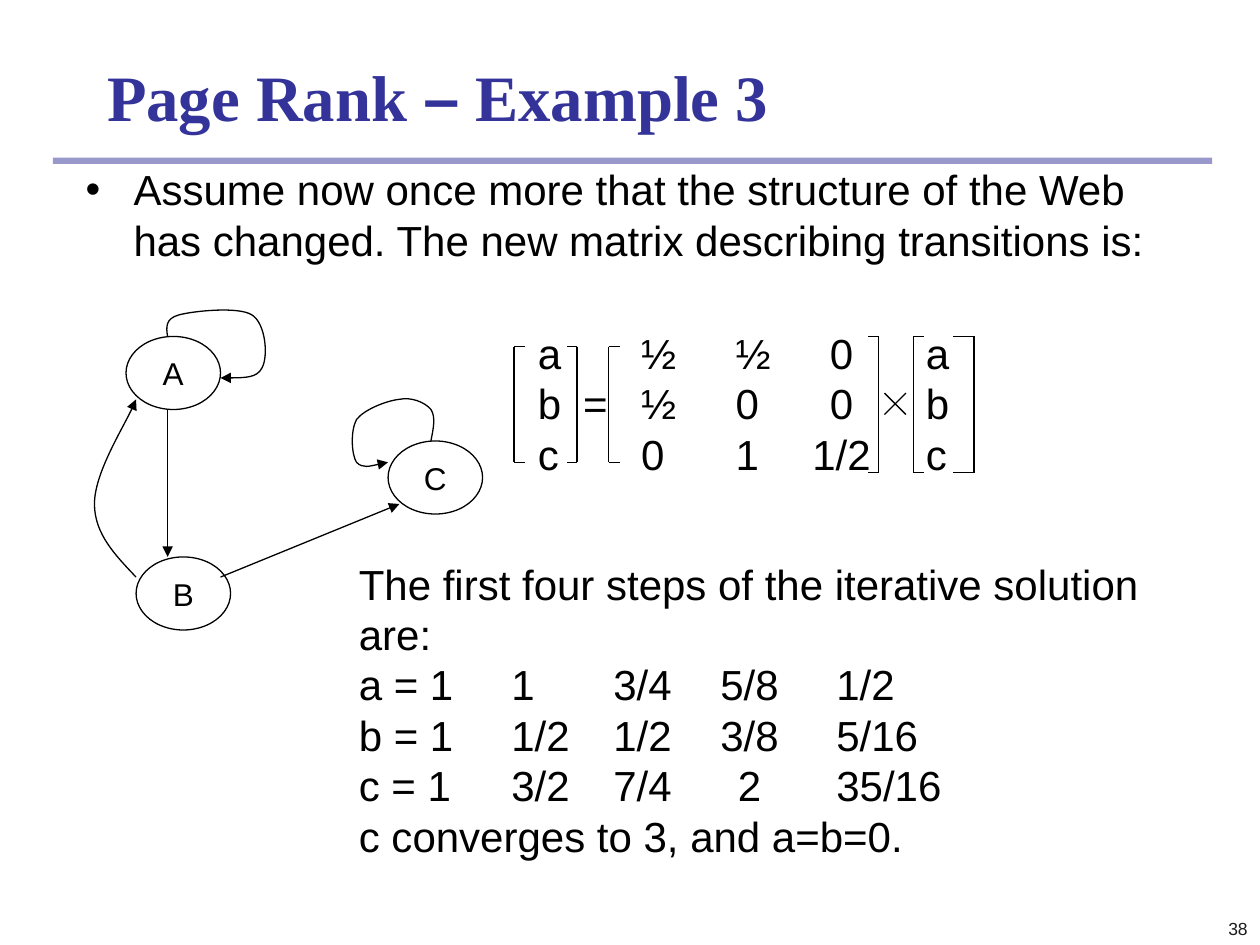
"""Build the slide on the third page rank example."""
from typing import NamedTuple

from lxml import etree
from pptx import Presentation
from pptx.dml.color import RGBColor
from pptx.enum import shapes as es, text as et
from pptx.oxml import ns
from pptx.util import Inches, Pt

INK, BLUE, WHITE = "000000", "333399", "FFFFFF"
SANS, SERIF = "Arial", "Times New Roman"


class Node(NamedTuple):
    name: str
    left: float
    top: float


class Line(NamedTuple):
    x1: float
    y1: float
    x2: float
    y2: float
    arrow: bool = False


class Bracket(NamedTuple):
    x: float
    tip: float
    top: float
    bottom: float


class Stop(NamedTuple):
    pos: float
    side: str = "l"


NODES = [Node("A", 1, 2.67), Node("B", 1.08, 4.42), Node("C", 3.08, 3.5)]
EDGES = [Line(1.33, 3.25, 1.33, 4.42, True), Line(1.75, 4.58, 3.17, 4, True)]
CROSS = [Line(7.02, 3.12, 7.19, 3.29), Line(7.19, 3.12, 7.02, 3.29)]
BRACKETS = [
    Bracket(4.08, 4.17, 2.75, 3.67),
    Bracket(4.58, 4.5, 2.75, 3.67),
    Bracket(4.83, 4.92, 2.75, 3.67),
    Bracket(6.97, 6.89, 2.67, 3.75),
    Bracket(7.25, 7.33, 2.67, 3.75),
    Bracket(7.73, 7.56, 2.67, 3.75),
]
CURVES = [
    [(1.33, 2.67), (1.32, 2.6), (1.31, 2.53), (1.42, 2.5),
     (1.53, 2.47), (1.89, 2.43), (2, 2.5),
     (2.11, 2.57), (2.13, 2.83), (2.08, 2.92),
     (2.04, 3), (1.9, 3), (1.75, 3)],
    [(1.08, 4.58), (0.92, 4.41), (0.75, 4.24), (0.75, 4),
     (0.75, 3.76), (1.03, 3.31), (1.08, 3.17)],
    [(3.42, 3.5), (3.44, 3.4), (3.46, 3.31), (3.42, 3.25),
     (3.37, 3.19), (3.26, 3.15), (3.17, 3.17),
     (3.07, 3.18), (2.89, 3.25), (2.83, 3.33),
     (2.78, 3.42), (2.79, 3.61), (2.83, 3.67),
     (2.88, 3.72), (2.98, 3.69), (3.08, 3.67)],
]
MATRIX = ["a\t\t½\t½\t0\ta", "b\t=\t½\t0\t0\tb", "c\t\t0\t1\t1/2\tc"]
MATRIX_STOPS = [Stop(0.36), Stop(0.82), Stop(1.57), Stop(2.41, "ctr"), Stop(3.08)]
STEPS = [
    "The first four steps of the iterative solution are:",
    "a = 1\t1\t3/4\t5/8\t1/2",
    "b = 1\t1/2\t1/2\t3/8\t5/16",
    "c = 1\t3/2\t7/4\t2\t35/16",
    "c converges to 3, and a=b=0.",
]
STEP_STOPS = [Stop(1.21), Stop(2.02), Stop(3.1, "ctr"), Stop(3.79)]


def paint(color, tone: str) -> None:
    """Set a colour from a hex string."""
    color.rgb = RGBColor.from_string(tone)


def child(host, tag: str, **attrs: str):
    """Append an XML element to its host."""
    return etree.SubElement(host, ns.qn(tag), attrs)


def write(para, words: str, size: float = 24, tone: str = INK,
          face: str = SANS, bold: bool = False) -> None:
    """Add one run to a paragraph."""
    run = para.add_run()
    run.text = words
    font = run.font
    font.size, font.name, font.bold = Pt(size), face, bold
    paint(font.color, tone)


def place(shape, left: float, top: float, width: float, height: float) -> None:
    """Move and size a shape."""
    shape.left, shape.top = Inches(left), Inches(top)
    shape.width, shape.height = Inches(width), Inches(height)


def stroke(shape, arrow: bool) -> None:
    """Give a shape a thin dark line, with an arrowhead if asked."""
    paint(shape.line.color, INK)
    shape.line.width = Pt(0.75)
    if arrow:
        child(shape.line._get_or_add_ln(), "a:tailEnd", type="triangle")


def draw_line(slide, line: Line) -> None:
    """Draw a straight line."""
    ends = [Inches(v) for v in line[:4]]
    link = slide.shapes.add_connector(es.MSO_CONNECTOR.STRAIGHT, *ends)
    stroke(link, line.arrow)
    child(link._element.spPr, "a:effectLst")


def draw_bracket(slide, item: Bracket) -> None:
    """Draw a square bracket from three lines."""
    draw_line(slide, Line(item.x, item.top, item.x, item.bottom))
    for y in (item.top, item.bottom):
        draw_line(slide, Line(item.x, y, item.tip, y))


def draw_curve(slide, points: list[tuple[float, float]]) -> None:
    """Draw an arrow along joined cubic curves."""
    first, *rest = [(Inches(x), Inches(y)) for x, y in points]
    pen = slide.shapes.build_freeform(*first)
    pen.add_line_segments(rest, close=False)
    shape = pen.convert_to_shape()
    shape.shadow.inherit = False
    shape.fill.background()
    stroke(shape, True)
    track = next(shape._element.iter(ns.qn("a:path")))
    legs = track.findall(ns.qn("a:lnTo"))
    for i in range(0, len(legs), 3):
        bend = child(track, "a:cubicBezTo")
        for leg in legs[i:i + 3]:
            bend.append(leg[0])
            track.remove(leg)


def draw_node(slide, node: Node) -> None:
    """Draw a labelled graph node."""
    shape = slide.shapes.add_shape(es.MSO_SHAPE.OVAL, 0, 0, 0, 0)
    place(shape, node.left, node.top, 0.75, 0.58)
    shape.shadow.inherit = False
    shape.fill.solid()
    paint(shape.fill.fore_color, WHITE)
    stroke(shape, False)
    frame = shape.text_frame
    frame.word_wrap = False
    frame.vertical_anchor = et.MSO_ANCHOR.MIDDLE
    para = frame.paragraphs[0]
    para.alignment = et.PP_ALIGN.CENTER
    write(para, node.name, 18)


def draw_rows(slide, spot: tuple, rows: list[str], stops: list[Stop]) -> None:
    """Write rows of text lined up on tab stops."""
    box = slide.shapes.add_textbox(0, 0, 0, 0)
    place(box, *spot)
    frame = box.text_frame
    frame.word_wrap = True
    for i, row in enumerate(rows):
        para = frame.add_paragraph() if i else frame.paragraphs[0]
        tabs = child(para._p.get_or_add_pPr(), "a:tabLst")
        for stop in stops:
            child(tabs, "a:tab", pos=str(Inches(stop.pos)), algn=stop.side)
        write(para, row)


def draw_head(slide) -> None:
    """Fill the title and body and draw the rule between them."""
    bar = slide.shapes.add_shape(es.MSO_SHAPE.RECTANGLE, 0, 0, 0, 0)
    place(bar, 0.42, 1.25, 9.2, 0.05)
    bar.shadow.inherit = False
    bar.fill.solid()
    paint(bar.fill.fore_color, BLUE)
    bar.line.fill.background()
    child(next(bar._element.spPr.iter(ns.qn("a:srgbClr"))), "a:alpha", val="50000")

    title, body = slide.placeholders
    place(title, 0.75, 0.42, 8.5, 0.75)
    place(body, 0.58, 1.25, 8.67, 1)
    for item, side in ((title, et.MSO_ANCHOR.MIDDLE), (body, et.MSO_ANCHOR.TOP)):
        item.text_frame.auto_size = et.MSO_AUTO_SIZE.NONE
        item.text_frame.vertical_anchor = side
    para = title.text_frame.paragraphs[0]
    para.alignment = et.PP_ALIGN.LEFT
    para.line_spacing = 0.9
    for words, face in (("Page Rank ", SERIF), ("–", SANS), (" Example 3", SERIF)):
        write(para, words, 37, BLUE, face, True)

    para = body.text_frame.paragraphs[0]
    para.space_before = Pt(0)
    props = para._p.get_or_add_pPr()
    props.set("marL", str(Inches(0.38)))
    props.set("indent", str(Inches(-0.38)))
    child(child(props, "a:buClr"), "a:srgbClr", val=INK)
    child(props, "a:buFont", typeface=SANS)
    child(props, "a:buChar", char="•")
    write(para, "Assume now once more that the structure of the Web has changed. "
                "The new matrix describing transitions is:")


def draw_number(slide) -> None:
    """Write the page number."""
    box = slide.shapes.add_textbox(0, 0, 0, 0)
    place(box, 7.92, 7, 2.08, 0.5)
    box.text_frame.word_wrap = True
    box.text_frame.vertical_anchor = et.MSO_ANCHOR.BOTTOM
    para = box.text_frame.paragraphs[0]
    para.alignment = et.PP_ALIGN.RIGHT
    write(para, "38", 10, "1C1C1C")


def main() -> None:
    """Build and save the deck."""
    deck = Presentation()
    deck.slide_width, deck.slide_height = Inches(10), Inches(7.5)
    slide = deck.slides.add_slide(deck.slide_layouts[1])
    draw_head(slide)
    draw_number(slide)
    draw_rows(slide, (4.17, 2.55, 3.52, 1.3), MATRIX, MATRIX_STOPS)
    draw_rows(slide, (2.75, 4.38, 6.64, 2.5), STEPS, STEP_STOPS)
    for draw, items in ((draw_node, NODES), (draw_curve, CURVES),
                        (draw_line, EDGES + CROSS), (draw_bracket, BRACKETS)):
        for item in items:
            draw(slide, item)
    deck.save("out.pptx")


if __name__ == "__main__":
    main()
